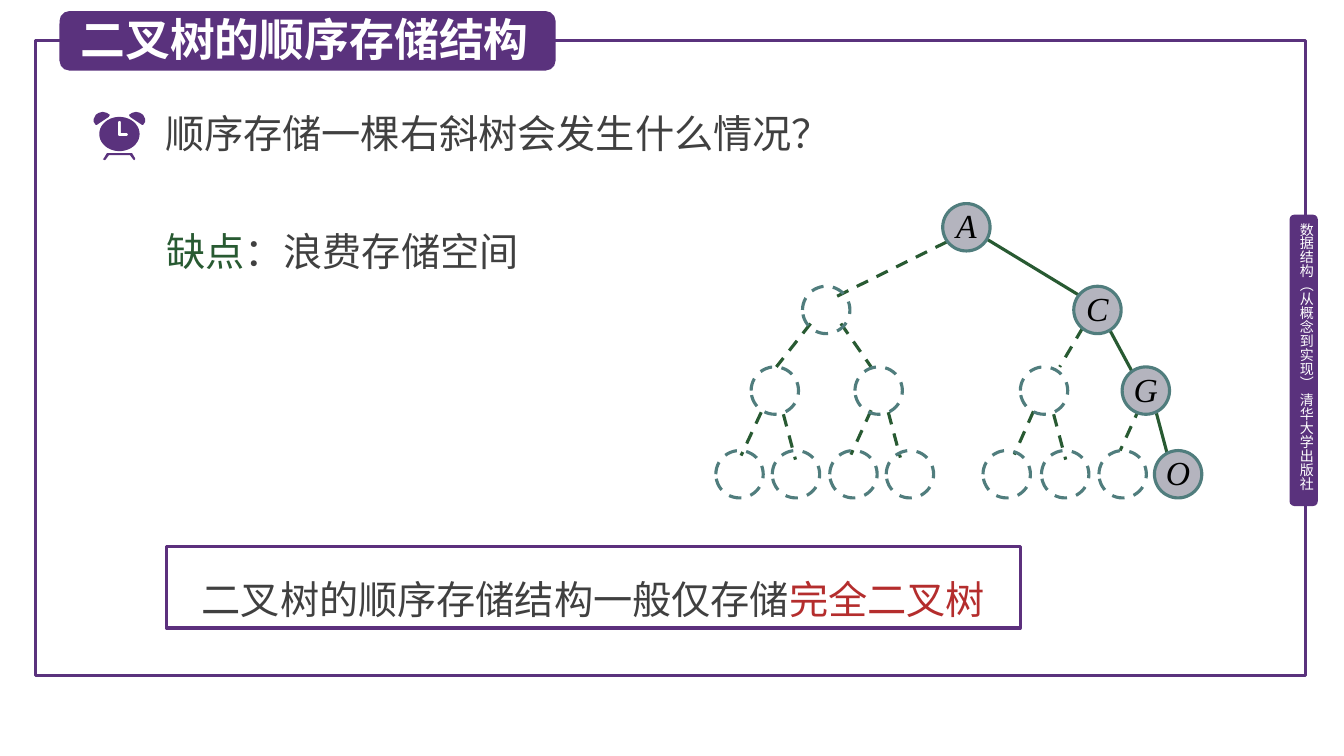
from math import cos, pi, sin

from pptx import Presentation
from pptx.dml.color import RGBColor
from pptx.enum.dml import MSO_LINE_DASH_STYLE as DASH
from pptx.enum.shapes import MSO_CONNECTOR, MSO_SHAPE as SHAPE
from pptx.enum.text import MSO_ANCHOR as ANCHOR, MSO_AUTO_SIZE as FIT, PP_ALIGN as ALIGN
from pptx.oxml.ns import qn
from pptx.util import Inches, Pt

SANS, SERIF = "Noto Sans CJK SC", "Times New Roman"
PURPLE, FRAME, GREEN, TEAL = "5A327D", "5C307D", "285A32", "507D7D"
GREY, INK, RED, WHITE, BLACK = "B4B4BE", "404040", "B42D2D", "FFFFFF", "000000"

TITLE = [("二叉树的顺序存储结构", WHITE)]
PRESS = [("数据结构（从概念到实现） 清华大学出版社", WHITE)]
QUESTION = [("顺序存储一棵右斜树会发生什么情况？", INK)]
DRAWBACK = [("缺点", GREEN), ("：浪费存储空间", INK)]
CONCLUSION = [("二叉树的顺序存储结构一般仅存储", INK), ("完全二叉树", RED)]

NODE = 0.47
LEVELS = [
    (2.02, [(9.35, "A")]),
    (2.84, [(7.96, ""), (10.65, "C")]),
    (3.64, [(7.45, ""), (8.48, ""), (10.12, ""), (11.13, "G")]),
    (4.47, [(7.1, ""), (7.66, ""), (8.23, ""), (8.79, ""),
            (9.75, ""), (10.33, ""), (10.9, ""), (11.45, "O")]),
]
SOLID_EDGES = [(9.75, 2.35, 10.77, 2.97), (11.01, 3.28, 11.3, 3.82), (11.47, 4.1, 11.59, 4.55)]
DASHED_EDGES = [
    (9.39, 2.4, 8.3, 2.94),
    (8.04, 3.21, 7.7, 3.64), (8.34, 3.21, 8.64, 3.64), (10.74, 3.25, 10.51, 3.64),
    (7.55, 4.09, 7.35, 4.52), (7.77, 4.11, 7.89, 4.56),
    (8.64, 4.07, 8.44, 4.51), (8.81, 4.09, 8.93, 4.54),
    (10.25, 4.08, 10.06, 4.51), (10.45, 4.11, 10.57, 4.56), (11.31, 4.03, 11.11, 4.47),
]

CLOCK_X, CLOCK_Y = 1.185, 1.33
FACE = [(CLOCK_X + 0.2 * cos(step * pi / 20), CLOCK_Y + 0.17 * sin(step * pi / 20))
        for step in range(40)]
HANDS = [(1.17, 1.21), (1.17, 1.34), (1.18, 1.35), (1.26, 1.35), (1.27, 1.34), (1.27, 1.33),
         (1.26, 1.32), (1.2, 1.32), (1.2, 1.21), (1.19, 1.2), (1.18, 1.2)]
BELL = [(0.96, 1.24), (0.95, 1.24), (0.93, 1.21), (0.93, 1.18), (0.95, 1.14), (0.98, 1.12),
        (1.02, 1.11), (1.06, 1.12), (1.09, 1.14), (1.08, 1.16)]
LEGS = [(1.06, 1.52), (1.31, 1.52), (1.34, 1.57), (1.34, 1.58), (1.33, 1.59), (1.32, 1.58),
        (1.29, 1.54), (1.08, 1.54), (1.05, 1.58), (1.04, 1.59), (1.02, 1.58), (1.03, 1.57)]

deck = Presentation()
deck.slide_width, deck.slide_height = Inches(13.33), Inches(7.5)
page = deck.slides.add_slide(deck.slide_layouts[6])


def color(value):
    return RGBColor.from_string(value)


def style_line(line, value, dashed=False):
    line.color.rgb = color(value)
    line.width = Pt(2.25)
    if dashed:
        line.dash_style = DASH.DASH


def paint(shape, fill=None, line=None, dashed=False):
    shape.shadow.inherit = False
    if fill:
        shape.fill.solid()
        shape.fill.fore_color.rgb = color(fill)
    else:
        shape.fill.background()
    if line:
        style_line(shape.line, line, dashed)
    else:
        shape.line.fill.background()


def add_block(kind, place, **look):
    shape = page.shapes.add_shape(kind, *map(Inches, place))
    paint(shape, **look)
    return shape


def write(box, runs, size, face=SANS, frame_format=None, para_format=None, **font_format):
    frame = box.text_frame
    for name, value in (frame_format or {}).items():
        setattr(frame, name, value)
    para = frame.paragraphs[0]
    for name, value in (para_format or {}).items():
        setattr(para, name, value)
    for text, ink in runs:
        span = para.add_run()
        span.text = text
        span.font.color.rgb = color(ink)
        for name, value in {"size": Pt(size), "name": face, **font_format}.items():
            setattr(span.font, name, value)
        east = span.font._element.makeelement(qn("a:ea"), {"typeface": SANS})
        span.font._element.find(qn("a:latin")).addnext(east)


def add_text(place, runs, size, frame_format=None, **font_format):
    box = page.shapes.add_textbox(*map(Inches, place))
    settings = {"word_wrap": True, "auto_size": FIT.SHAPE_TO_FIT_TEXT, **(frame_format or {})}
    write(box, runs, size, frame_format=settings, **font_format)
    return box


def add_outline(*contours):
    builder = None
    for contour in contours:
        points = [(Inches(x), Inches(y)) for x, y in contour]
        if builder is None:
            builder = page.shapes.build_freeform(*points[0])
        else:
            builder.move_to(*points[0])
        builder.add_line_segments(points[1:], close=True)
    paint(builder.convert_to_shape(), fill=PURPLE)


def add_edge(ends, dashed):
    edge = page.shapes.add_connector(MSO_CONNECTOR.STRAIGHT, *map(Inches, ends))
    style_line(edge.line, GREEN, dashed)
    properties = edge._element.spPr
    properties.append(properties.makeelement(qn("a:effectLst"), {}))


NO_MARGINS = dict.fromkeys(["margin_left", "margin_top", "margin_right", "margin_bottom"], 0)

add_block(SHAPE.RECTANGLE, (0.35, 0.4, 12.6, 6.3), line=PURPLE)
add_block(SHAPE.ROUNDED_RECTANGLE, (12.79, 2.13, 0.28, 2.89), fill=PURPLE)
press = add_text((12.87, 2.21, 0.17, 2.81), PRESS, 10, NO_MARGINS)
press.text_frame._txBody.bodyPr.set("vert", "eaVert")
add_block(SHAPE.ROUNDED_RECTANGLE, (0.59, 0.11, 4.92, 0.59), fill=PURPLE)
add_text((0.7, 0.07, 4.74, 0.64), TITLE, 32, bold=True)
add_text((1.54, 1.04, 7.26, 0.57), QUESTION, 28)
add_text((1.55, 2.21, 4.64, 0.57), DRAWBACK, 28)
conclusion = add_block(SHAPE.RECTANGLE, (1.65, 5.42, 8.47, 0.81), line=FRAME)
write(conclusion, CONCLUSION, 28, SERIF,
      {"word_wrap": True, "vertical_anchor": ANCHOR.MIDDLE},
      {"alignment": ALIGN.CENTER, "line_spacing": 1.5})

add_outline(LEGS)
add_outline(BELL)
add_outline([(2 * CLOCK_X - x, y) for x, y in BELL])
add_outline(FACE, HANDS)

for edges, dashed in ((SOLID_EDGES, False), (DASHED_EDGES, True)):
    for ends in edges:
        add_edge(ends, dashed)

for top, nodes in LEVELS:
    for left, label in nodes:
        node = add_block(SHAPE.OVAL, (left, top, NODE, NODE), fill=GREY if label else None,
                         line=TEAL, dashed=not label)
        if label:
            write(node, [(label, BLACK)], 24, SERIF,
                  {**NO_MARGINS, "vertical_anchor": ANCHOR.TOP},
                  {"alignment": ALIGN.CENTER, "line_spacing": Pt(25)}, italic=True)

deck.save("out.pptx")
